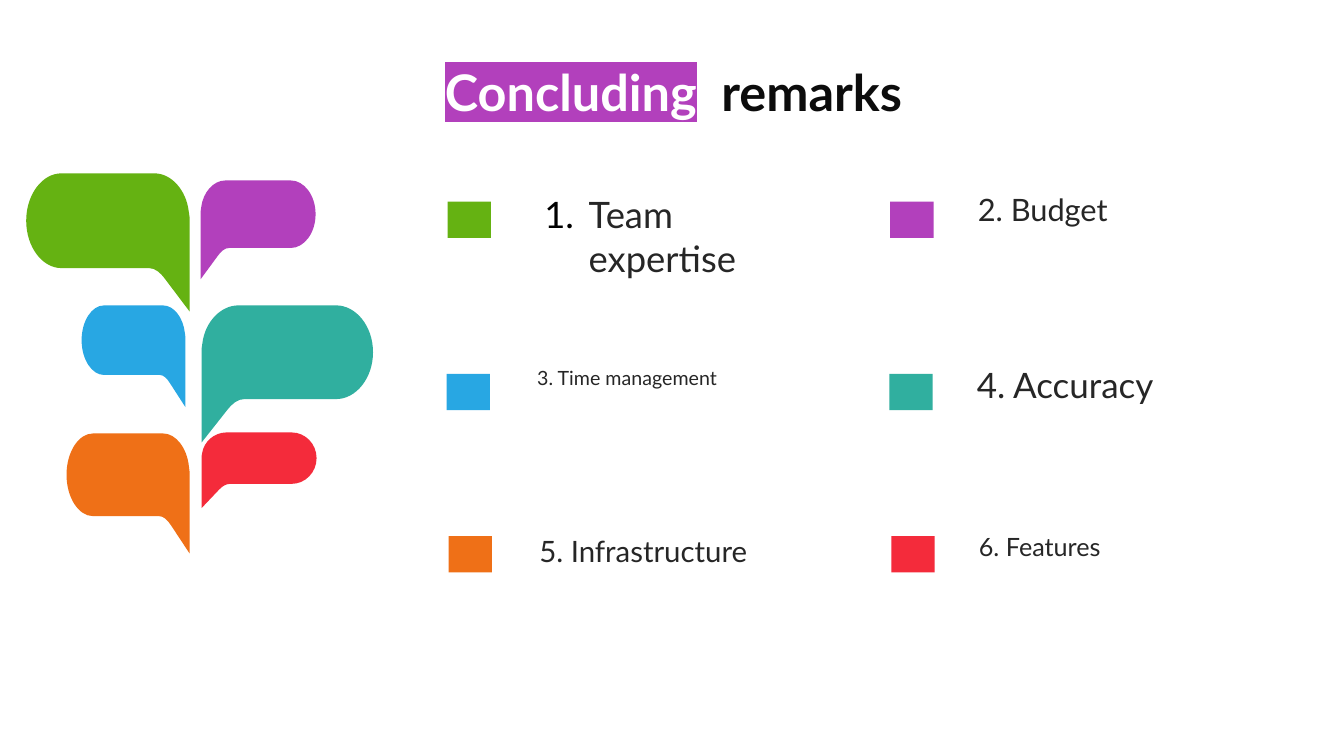
from lxml import etree
from pptx import Presentation
from pptx.dml.color import RGBColor
from pptx.enum.shapes import MSO_SHAPE
from pptx.enum.text import MSO_ANCHOR, PP_ALIGN
from pptx.oxml.ns import qn
from pptx.util import Inches, Pt

RECTANGLE = MSO_SHAPE.RECTANGLE
MIDDLE, TOP = MSO_ANCHOR.MIDDLE, MSO_ANCHOR.TOP
CENTER, LEFT = PP_ALIGN.CENTER, PP_ALIGN.LEFT

FONT = "Lato"
COLORS = {
    "green": "65B212", "purple": "B240BC", "blue": "28A7E3",
    "teal": "30AF9F", "orange": "EF7017", "red": "F42B3B",
    "white": "FFFFFF", "title": "0C0C0C", "body": "262626", "number": "000000",
}

# Colour, spine x, outer x, top, bottom, tail tip
BUBBLES = [
    ("red", 2.0, 3.14, 4.29, 4.8, 5.04),
    ("teal", 2.0, 3.7, 3.03, 3.96, 4.39),
    ("purple", 1.99, 3.13, 1.79, 2.46, 2.77),
    ("orange", 1.88, 0.66, 4.3, 5.12, 5.49),
    ("blue", 1.84, 0.81, 3.03, 3.72, 4.04),
    ("green", 1.88, 0.26, 1.72, 2.66, 3.09),
]

# Label, size, swatch colour; read row by row
REMARKS = [
    ("Team expertise", 26, "green"), ("2. Budget", 22, "purple"),
    ("3. Time management", 14, "blue"), ("4. Accuracy", 25, "teal"),
    ("5. Infrastructure", 21, "orange"), ("6. Features", 18, "red"),
]
# Swatch left and top, label top in the left column
ROWS = [(4.44, 2.0, 1.86), (4.43, 3.71, 3.58), (4.45, 5.32, 5.24)]
COLUMN_GAP = 4.39
LABEL_OFFSETS = [(0.8, 0), (0.77, -0.02)]


def paint(shape, color):
    shape.shadow.inherit = False
    shape.fill.solid()
    shape.fill.fore_color.rgb = RGBColor.from_string(COLORS[color])
    shape.line.fill.background()


def add_bubble(slide, color, spine, outer, top, bottom, tip):
    """Speech bubble whose tail hangs down along the spine."""
    width, height, drop = outer - spine, bottom - top, tip - bottom

    def body(across, down):
        return Inches(spine + across * width), Inches(top + down * height)

    def tail(across, down):
        return Inches(spine + across * width), Inches(bottom + down * drop)

    # One point is a straight segment, three are a Bezier curve
    segments = [
        [body(0.215, 0)],
        [body(0.11, 0), body(0.02, 0.18), body(0.005, 0.4)],
        [body(0, 0.46)],
        [tail(0, 1)],
        [tail(0.15, 0.25)],
        [tail(0.18, 0.1), tail(0.21, 0), tail(0.25, 0)],
        [body(0.785, 1)],
        [body(0.9, 1), body(1, 0.78), body(1, 0.5)],
        [body(1, 0.22), body(0.9, 0), body(0.785, 0)],
    ]
    builder = slide.shapes.build_freeform(*body(0.785, 0))
    builder.add_line_segments([point for part in segments for point in part], close=True)
    bubble = builder.convert_to_shape()
    lines = iter(list(bubble._element.iter(qn("a:lnTo"))))
    for segment in segments:
        first, *others = [next(lines) for _ in segment]
        if others:
            curve = etree.Element(qn("a:cubicBezTo"))
            first.addprevious(curve)
            for line in (first, *others):
                curve.append(line[0])
                line.getparent().remove(line)
    paint(bubble, color)


def add_swatch(slide, left, top, color):
    swatch = slide.shapes.add_shape(
        RECTANGLE, Inches(left), Inches(top), Inches(0.43), Inches(0.36))
    paint(swatch, color)


def add_text(slide, left, top, width, height, anchor=TOP, align=LEFT):
    box = slide.shapes.add_textbox(
        Inches(left), Inches(top), Inches(width), Inches(height))
    frame = box.text_frame
    frame.word_wrap = True
    frame.vertical_anchor = anchor
    paragraph = frame.paragraphs[0]
    paragraph.alignment = align
    return paragraph


def add_run(paragraph, text, color, highlight=None, **formats):
    run = paragraph.add_run()
    run.text = text
    for name, value in {"name": FONT, **formats}.items():
        setattr(run.font, name, value)
    run.font.color.rgb = RGBColor.from_string(COLORS[color])
    if highlight:
        mark = etree.Element(qn("a:highlight"))
        etree.SubElement(mark, qn("a:srgbClr"), val=COLORS[highlight])
        run.font._element.find(qn("a:solidFill")).addnext(mark)


def number_paragraph(paragraph):
    properties = paragraph._p.get_or_add_pPr()
    properties.set("marL", str(Inches(0.5)))
    properties.set("indent", str(Inches(-0.44)))
    bullet_color = etree.SubElement(properties, qn("a:buClr"))
    etree.SubElement(bullet_color, qn("a:srgbClr"), val=COLORS["number"])
    etree.SubElement(properties, qn("a:buFont"), typeface=FONT)
    etree.SubElement(properties, qn("a:buAutoNum"), type="arabicPeriod")


def main():
    deck = Presentation()
    deck.slide_width, deck.slide_height = Inches(13.33), Inches(7.5)
    slide = deck.slides.add_slide(deck.slide_layouts[6])

    # Title
    title = add_text(slide, 0.93, 0.53, 11.5, 0.83, MIDDLE, CENTER)
    title.line_spacing = 0.9
    title_format = {"size": Pt(36), "bold": True}
    add_run(title, "Concluding", "white", "purple", **title_format)
    add_run(title, "  ", "white", **title_format)
    add_run(title, "remarks", "title", **title_format)

    # Speech bubbles
    for bubble in BUBBLES:
        add_bubble(slide, *bubble)

    # Remarks with their swatches
    for index, (label, size, color) in enumerate(REMARKS):
        row, column = divmod(index, 2)
        left, swatch_top, label_top = ROWS[row]
        left += column * COLUMN_GAP
        across, down = LABEL_OFFSETS[column]
        add_swatch(slide, left, swatch_top, color)
        remark = add_text(slide, left + across, label_top + down, 2.81, 1.25)
        add_run(remark, label, "body", size=Pt(size))
        if index == 0:
            number_paragraph(remark)

    deck.save("out.pptx")


if __name__ == "__main__":
    main()
